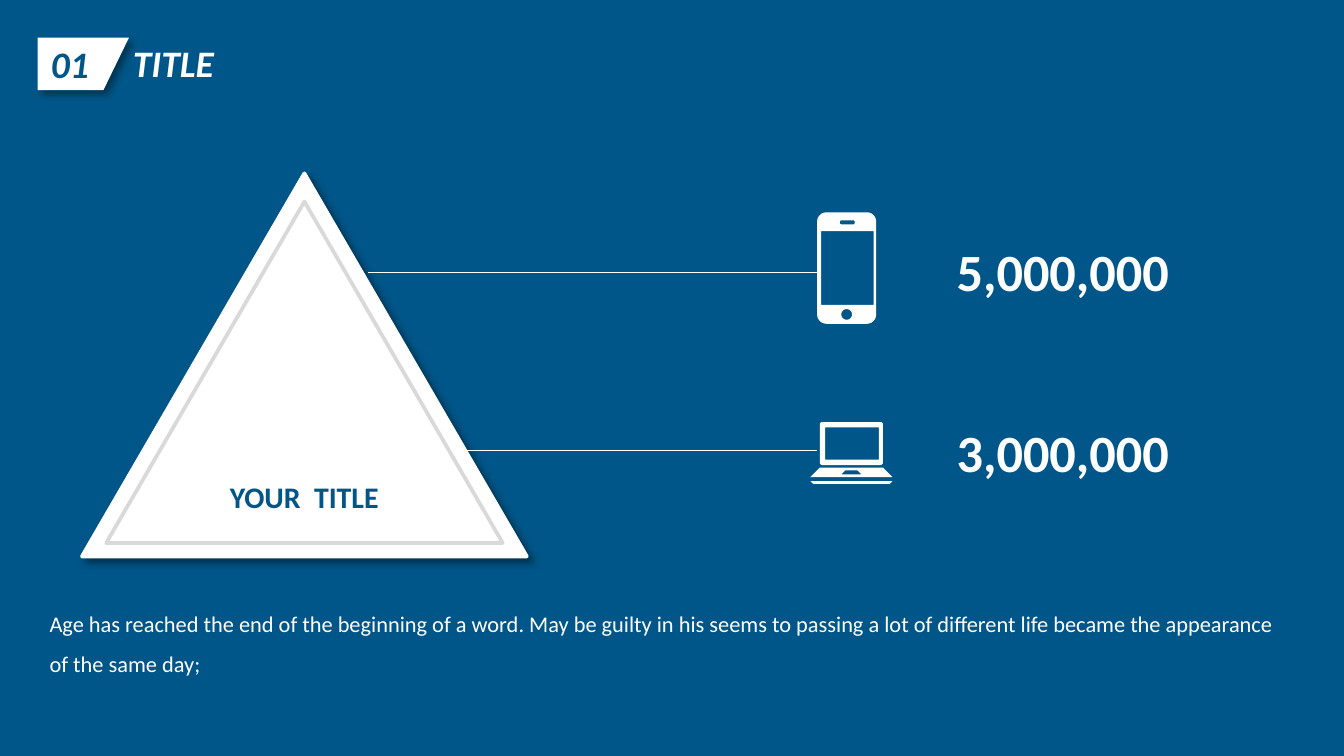
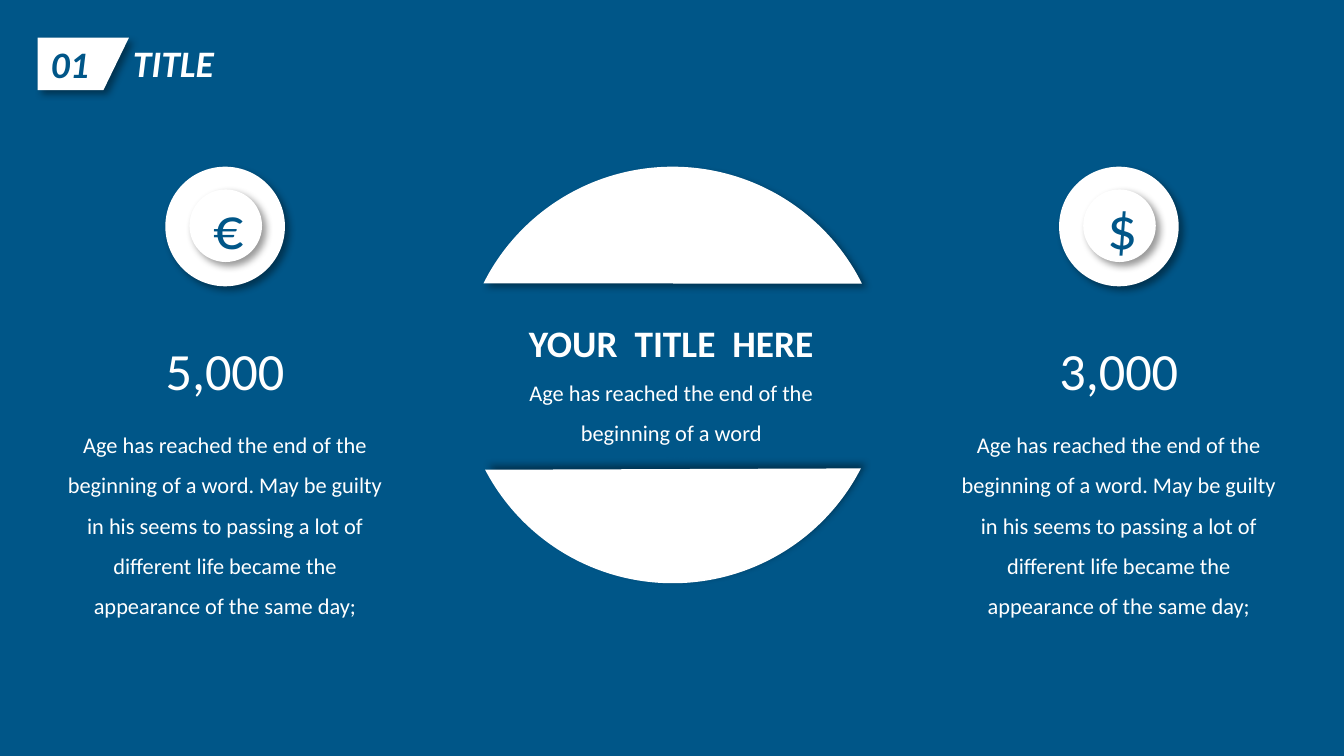
from dataclasses import dataclass, replace
from math import cos, radians, sin
from typing import NamedTuple, Optional

from lxml.etree import SubElement
from pptx import Presentation
from pptx.dml.color import RGBColor
from pptx.enum.shapes import MSO_CONNECTOR, MSO_SHAPE
from pptx.enum.text import MSO_ANCHOR, MSO_AUTO_SIZE, PP_ALIGN
from pptx.oxml.ns import qn
from pptx.shapes.autoshape import Shape
from pptx.slide import Slide
from pptx.text.text import TextFrame
from pptx.util import Inches, Pt

COLORS = {"blue": "005688", "white": "FFFFFF", "grey": "D9D9D9", "black": "000000"}
FONT = "Calibri"
SLIDE_WIDTH = 10
SLIDE_HEIGHT = SLIDE_WIDTH * 9 / 16
SENTENCE = "Age has reached the end of the beginning of a word"
DESCRIPTION = (SENTENCE + ". May be guilty in his seems to passing a lot of "
               "different life became the appearance of the same day;")
Contour = list[tuple[float, float]]


class Box(NamedTuple):
    left: float
    top: float
    width: float
    height: float

    def lengths(self) -> list[int]:
        return [Inches(value) for value in self]


@dataclass(frozen=True)
class TextStyle:
    size: int
    color: str = "white"
    bold: bool = False
    italic: bool = False
    align: PP_ALIGN = PP_ALIGN.CENTER
    spacing: Optional[float] = None


@dataclass(frozen=True)
class Device:
    line_start: float
    line_top: float
    total: str
    total_top: float


@dataclass(frozen=True)
class Currency:
    left: float
    symbol: str
    total: str


HEADING = TextStyle(20, bold=True, italic=True)
BADGE = replace(HEADING, color="blue", align=PP_ALIGN.LEFT)
BODY = TextStyle(12, spacing=1.5)
BODY_LEFT = replace(BODY, align=PP_ALIGN.LEFT)
CENTER_TITLE = TextStyle(20, bold=True, spacing=1.5)
TRIANGLE_TITLE = TextStyle(16, "blue", bold=True)
SYMBOL = TextStyle(32, "blue")
TOTAL = TextStyle(28)
DEVICE_TOTAL = TextStyle(28, bold=True, align=PP_ALIGN.LEFT)

DEVICES = [Device(2.74, 2.03, "5,000,000", 1.73),
           Device(3.38, 3.35, "3,000,000", 3.08)]
CURRENCIES = [Currency(0.37, "€", "5,000"), Currency(7.02, "$", "3,000")]


# Shared helpers
def rgb(name: str) -> RGBColor:
    return RGBColor.from_string(COLORS[name])


def write(frame: TextFrame, text: str, *styles: TextStyle) -> None:
    """Fill the frame, giving each paragraph its own style."""
    frame.text = text
    frame.word_wrap = True
    for paragraph, style in zip(frame.paragraphs, styles):
        paragraph.alignment = style.align
        if style.spacing:
            paragraph.line_spacing = style.spacing
        for run in paragraph.runs:
            font = run.font
            font.name, font.size = FONT, Pt(style.size)
            font.bold, font.italic = style.bold, style.italic
            font.color.rgb = rgb(style.color)


def add_text(slide: Slide, box: Box, text: str, *styles: TextStyle) -> None:
    frame = slide.shapes.add_textbox(*box.lengths()).text_frame
    write(frame, text, *styles)
    frame.auto_size = MSO_AUTO_SIZE.SHAPE_TO_FIT_TEXT


def paint(shape: Shape, fill: Optional[str] = "white", line: Optional[str] = None) -> None:
    shape.shadow.inherit = False
    if fill:
        shape.fill.solid()
        shape.fill.fore_color.rgb = rgb(fill)
    else:
        shape.fill.background()
    if line:
        shape.line.color.rgb = rgb(line)
        shape.line.width = Pt(2)
    else:
        shape.line.fill.background()


def add_shadow(shape: Shape, direction: int = 45) -> None:
    effects = shape.element.spPr.find(qn("a:effectLst"))
    shadow = SubElement(effects, qn("a:outerShdw"), blurRad=str(Pt(4)), dist=str(Pt(3)),
                        dir=str(direction * 60000), algn="ctr", rotWithShape="0")
    color = SubElement(shadow, qn("a:srgbClr"), val=COLORS["black"])
    SubElement(color, qn("a:alpha"), val="40000")


def add_preset(slide: Slide, kind: MSO_SHAPE, box: Box, fill: Optional[str] = "white",
               line: Optional[str] = None) -> Shape:
    shape = slide.shapes.add_shape(kind, *box.lengths())
    paint(shape, fill, line)
    return shape


def add_outline(slide: Slide, *contours: Contour) -> Shape:
    """Draw one white freeform; inner contours become holes."""
    builder = None
    for contour in contours:
        start, *rest = [(Inches(x), Inches(y)) for x, y in contour]
        if builder is None:
            builder = slide.shapes.build_freeform(*start)
        else:
            builder.move_to(*start)
        builder.add_line_segments(rest, close=True)
    shape = builder.convert_to_shape()
    paint(shape)
    return shape


def rounded(box: Box, radius: float) -> Contour:
    """Points of a rectangle with rounded corners, clockwise from top left."""
    right, bottom = box.left + box.width, box.top + box.height
    corners = [(box.left + radius, box.top + radius, 180),
               (right - radius, box.top + radius, 270),
               (right - radius, bottom - radius, 0),
               (box.left + radius, bottom - radius, 90)]
    return [(x + radius * cos(radians(start + turn)), y + radius * sin(radians(start + turn)))
            for x, y, start in corners for turn in range(0, 91, 15)]


def rectangle(box: Box) -> Contour:
    right, bottom = box.left + box.width, box.top + box.height
    return [(box.left, box.top), (right, box.top), (right, bottom), (box.left, bottom)]


def add_titled_slide(presentation: Presentation) -> Slide:
    slide = presentation.slides.add_slide(presentation.slide_layouts[5])
    title = slide.shapes.title
    title.left, title.top, title.width, title.height = Box(0.82, 0.25, 0.94, 0.44).lengths()
    write(title.text_frame, "TITLE", HEADING)
    title.text_frame.vertical_anchor = MSO_ANCHOR.TOP
    title.text_frame.auto_size = MSO_AUTO_SIZE.NONE
    badge = add_outline(slide, [(0.28, 0.28), (0.96, 0.28), (0.77, 0.67), (0.28, 0.67)])
    add_shadow(badge)
    write(badge.text_frame, "01", BADGE)
    badge.text_frame.vertical_anchor = MSO_ANCHOR.MIDDLE
    return slide


# Slide 1: triangle with two devices
def add_phone(slide: Slide) -> None:
    add_outline(slide,
                rounded(Box(6.08, 1.58, 0.44, 0.83), 0.07),
                rounded(Box(6.25, 1.64, 0.11, 0.03), 0.01),
                rounded(Box(6.26, 2.3, 0.08, 0.08), 0.04),
                rectangle(Box(6.11, 1.72, 0.39, 0.55)))


def add_laptop(slide: Slide) -> None:
    add_outline(slide, rounded(Box(6.1, 3.14, 0.47, 0.32), 0.02),
                rectangle(Box(6.14, 3.18, 0.4, 0.24)))
    add_outline(slide, [(6.1, 3.48), (6.57, 3.48), (6.64, 3.55), (6.03, 3.55)],
                [(6.29, 3.5), (6.38, 3.5), (6.41, 3.53), (6.26, 3.53)])
    add_outline(slide, [(6.03, 3.58), (6.64, 3.58), (6.62, 3.6), (6.05, 3.6)])


def build_triangle_slide(presentation: Presentation) -> None:
    slide = add_titled_slide(presentation)
    triangle = add_preset(slide, MSO_SHAPE.ISOSCELES_TRIANGLE,
                          Box(0.61, 1.29, 3.31, 2.85), line="white")
    add_shadow(triangle)
    frame = triangle.text_frame
    write(frame, "YOUR  TITLE", TRIANGLE_TITLE)
    frame.vertical_anchor = MSO_ANCHOR.BOTTOM
    frame.margin_bottom = Inches(0.31)
    add_preset(slide, MSO_SHAPE.ISOSCELES_TRIANGLE, Box(0.79, 1.5, 2.95, 2.54),
               fill=None, line="grey")

    for device in DEVICES:
        height = Inches(device.line_top)
        connector = slide.shapes.add_connector(
            MSO_CONNECTOR.STRAIGHT, Inches(device.line_start), height, Inches(6.08), height)
        connector.line.color.rgb = rgb("white")
        connector.line.width = Pt(0.75)
        SubElement(connector.element.spPr, qn("a:effectLst"))
        add_text(slide, Box(7.02, device.total_top, 2.71, 0.57), device.total, DEVICE_TOTAL)
    add_phone(slide)
    add_laptop(slide)
    add_text(slide, Box(0.27, 4.39, 9.45, 0.71), DESCRIPTION, BODY_LEFT)


# Slide 2: split circle between two currencies
def add_cap(slide: Slide, top: float, angles: tuple[float, float], direction: int) -> Shape:
    cap = add_preset(slide, MSO_SHAPE.CHORD, Box(3.43, top, 3.15, 3.15))
    cap.adjustments[0], cap.adjustments[1] = angles
    add_shadow(cap, direction)
    return cap


def add_currency(slide: Slide, currency: Currency) -> None:
    left = currency.left
    for box in (Box(left + 0.86, 1.24, 0.89, 0.89), Box(left + 1.04, 1.41, 0.54, 0.54)):
        coin = add_preset(slide, MSO_SHAPE.OVAL, box)
        add_shadow(coin)
    write(coin.text_frame, currency.symbol, SYMBOL)
    coin.text_frame.vertical_anchor = MSO_ANCHOR.MIDDLE
    add_text(slide, Box(left + 0.42, 2.47, 1.77, 0.57), currency.total, TOTAL)
    add_text(slide, Box(left, 3.06, 2.61, 1.62), DESCRIPTION, BODY)


def build_currency_slide(presentation: Presentation) -> None:
    slide = add_titled_slide(presentation)
    for currency in CURRENCIES:
        add_currency(slide, currency)
    add_cap(slide, 1.24, (124, 200.06), 45)
    lower_cap = add_cap(slide, 1.19, (124.58, 199.67), 315)
    lower_cap.element.spPr.xfrm.set("flipV", "1")
    add_text(slide, Box(3.57, 2.17, 2.85, 1.18), "YOUR  TITLE  HERE\n" + SENTENCE,
             CENTER_TITLE, BODY)


def main() -> None:
    presentation = Presentation()
    presentation.slide_width = Inches(SLIDE_WIDTH)
    presentation.slide_height = Inches(SLIDE_HEIGHT)
    background = presentation.slide_master.background.fill
    background.solid()
    background.fore_color.rgb = rgb("blue")
    build_triangle_slide(presentation)
    build_currency_slide(presentation)
    presentation.save("out.pptx")


if __name__ == "__main__":
    main()
